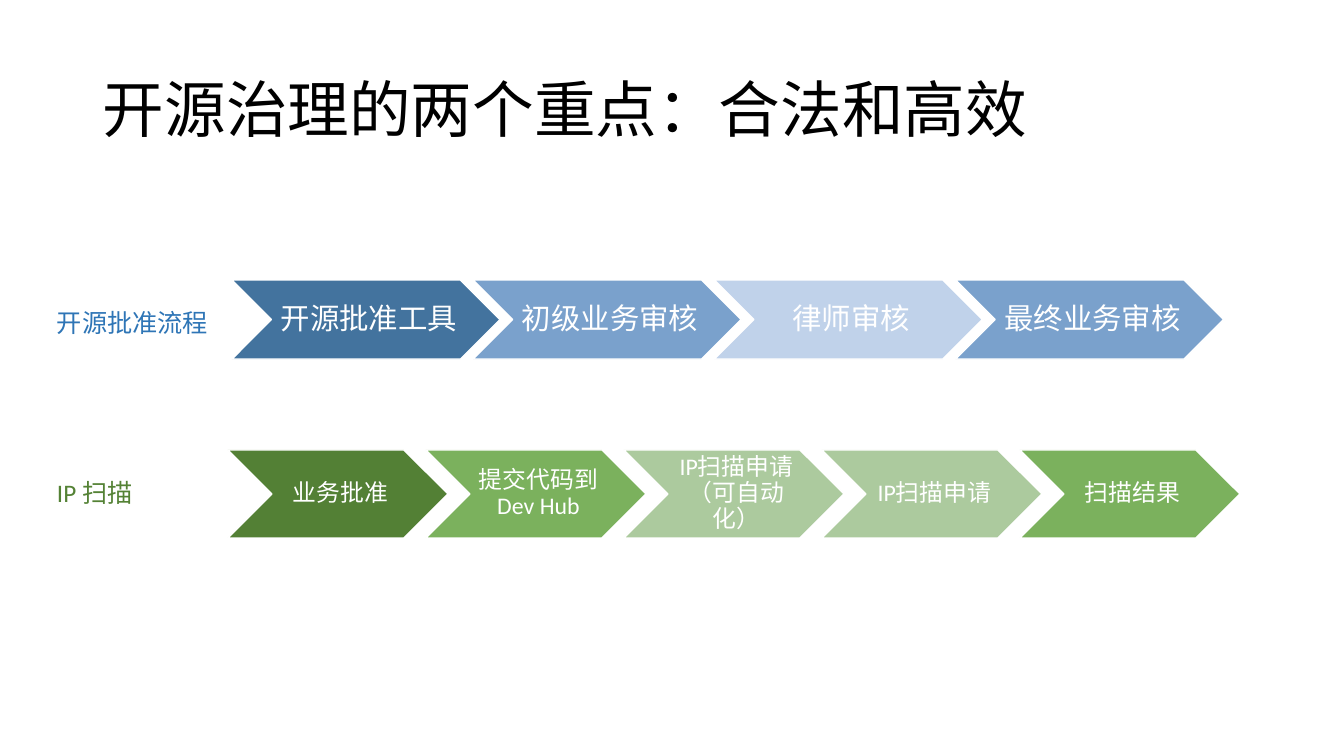
import pptx
import pptx.util
import pptx.dml.color
import pptx.enum.shapes
import pptx.enum.text

PX = 914400 / 100.8  # EMU per px
FONT = "Calibri"
WHITE = "FFFFFF"


def px(length):
    return pptx.util.Emu(round(length * PX))


def colour(hex_value):
    return pptx.dml.color.RGBColor.from_string(hex_value)


def write(shape, text, size, text_colour, insets=(10, 5, 10, 5), spacing=None,
          align=pptx.enum.text.PP_ALIGN.LEFT,
          anchor=pptx.enum.text.MSO_ANCHOR.MIDDLE):
    """Fill a shape with one paragraph; insets are left, top, right, bottom."""
    frame = shape.text_frame
    frame.word_wrap = True
    frame.vertical_anchor = anchor
    (frame.margin_left, frame.margin_top,
     frame.margin_right, frame.margin_bottom) = [px(inset) for inset in insets]
    frame.text = text
    paragraph = frame.paragraphs[0]
    paragraph.alignment = align
    paragraph.line_spacing = spacing
    for run in paragraph.runs:
        run.font.name = FONT
        run.font.size = pptx.util.Pt(size)
        run.font.color.rgb = colour(text_colour)


def add_label(slide, box, text, size, text_colour, **options):
    label = slide.shapes.add_textbox(*[px(length) for length in box])
    write(label, text, size, text_colour, **options)


def add_process(slide, left, top, width, height, steps, size, insets):
    """Draw a row of chevrons, each overlapping the last by a tenth."""
    for index, (text, fill) in enumerate(steps):
        step = slide.shapes.add_shape(
            pptx.enum.shapes.MSO_SHAPE.CHEVRON,
            px(left + index * width * 0.9), px(top), px(width), px(height))
        step.shadow.inherit = False
        step.fill.solid()
        step.fill.fore_color.rgb = colour(fill)
        step.line.color.rgb = colour(WHITE)
        step.line.width = pptx.util.Pt(1)
        write(step, text, size, WHITE, insets, spacing=0.9,
              align=pptx.enum.text.PP_ALIGN.CENTER)


def main():
    deck = pptx.Presentation()
    deck.slide_width, deck.slide_height = px(1344), px(756)
    slide = deck.slides.add_slide(deck.slide_layouts[6])

    # Title
    add_label(slide, (93, 40, 1159, 146), "开源治理的两个重点：合法和高效",
              44, "000000", spacing=0.9)

    # Open source approval
    approval_steps = [
        ("开源批准工具", "43739E"),
        ("初级业务审核", "7AA1CC"),
        ("律师审核", "C0D2EA"),
        ("最终业务审核", "7AA1CC"),
    ]
    add_process(slide, 232, 280, 268, 79, approval_steps, 21, (9, 3, 3, 3))

    # IP scan
    scan_steps = [
        ("业务批准", "538035"),
        ("提交代码到Dev Hub", "7BB15D"),
        ("IP扫描申请（可自动化）", "ACCA9E"),
        ("IP扫描申请", "ACCA9E"),
        ("扫描结果", "7BB15D"),
    ]
    add_process(slide, 228, 450, 220, 88, scan_steps, 17, (7, 2, 2, 2))

    # Row labels
    for top, text, text_colour in [(302, "开源批准流程", "2E75B6"),
                                   (472, "IP 扫描", "548235")]:
        add_label(slide, (47, top, 193, 40), text, 18, text_colour,
                  anchor=pptx.enum.text.MSO_ANCHOR.TOP)

    deck.save("out.pptx")


if __name__ == "__main__":
    main()
